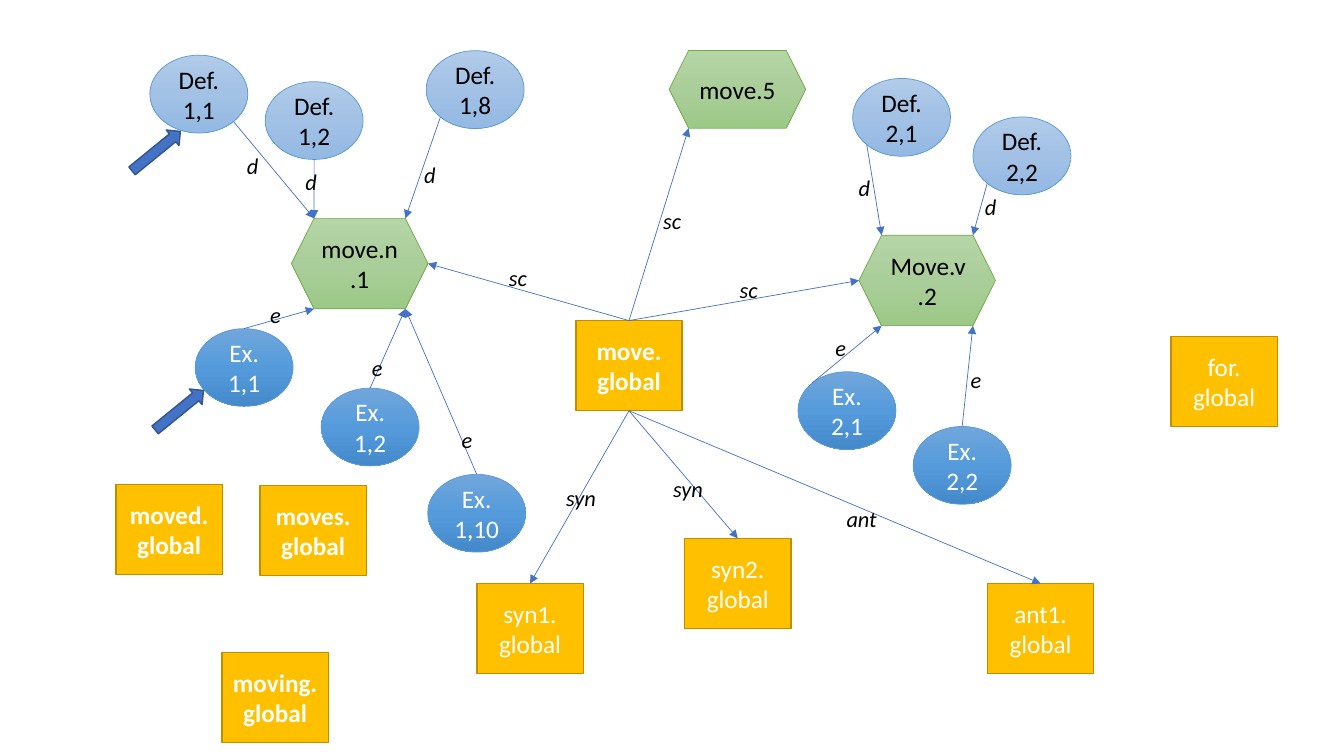
from copy import deepcopy

from lxml import etree
from pptx import Presentation
from pptx.dml.color import RGBColor
from pptx.enum.shapes import MSO_CONNECTOR, MSO_SHAPE
from pptx.enum.text import MSO_ANCHOR, PP_ALIGN
from pptx.oxml.ns import qn
from pptx.util import Pt

HEX, OVAL, RECT = MSO_SHAPE.HEXAGON, MSO_SHAPE.OVAL, MSO_SHAPE.RECTANGLE
ARROW, LINE = MSO_SHAPE.RIGHT_ARROW, MSO_CONNECTOR.STRAIGHT
MID, LEFT, CENTER = MSO_ANCHOR.MIDDLE, PP_ALIGN.LEFT, PP_ALIGN.CENTER
FONT = "Calibri"
COLORS = {
    "black": "000000", "white": "FFFFFF", "gold": "FFC000", "bronze": "BD8E00",
    "link": "4472C4", "navy": "325491", "leaf": "70AD47", "sky": "5B9BD5",
}
FADES = {
    "sense": ("B5D5A7", "AACE9A", "9CC987"),
    "def": ("B1CBE9", "A3C1E5", "93B9E4"),
    "ex": ("71A6DB", "559BDB", "448ACA"),
}
# kind: shape, line colour, line width, text colour
KINDS = {
    "sense": (HEX, "leaf", 0.5, "black"),
    "def": (OVAL, "sky", 0.5, "black"),
    "ex": (OVAL, "sky", 0.5, "white"),
    "word": (RECT, "bronze", 1, "white"),
}


def rgb(name):
    """Return a colour by its name in COLORS or by its hex string."""
    return RGBColor.from_string(COLORS.get(name, name))


class Graph:
    """Style and slide of a word graph."""

    def __init__(self, slide):
        """Keep the slide and start with no nodes."""
        self.shapes = slide.shapes
        self.nodes = {}

    def text(self, shape, words, size, color, align, bold=False, italic=False):
        """Fill a shape with one paragraph, broken at line ends."""
        frame = shape.text_frame
        frame.word_wrap = True
        para = frame.paragraphs[0]
        para.alignment = align
        for i, part in enumerate(words.split("\n")):
            if i:
                para.add_line_break()
            run = para.add_run()
            run.text = part
            font = run.font
            font.name, font.size = FONT, Pt(size)
            font.bold, font.italic = bold, italic
            font.color.rgb = rgb(color)

    def shape(self, form, box, line, width):
        """Add a preset shape with an outline and no shadow."""
        shape = self.shapes.add_shape(form, *map(Pt, box))
        shape.shadow.inherit = False
        shape.line.color.rgb = rgb(line)
        shape.line.width = Pt(width)
        return shape

    def fade(self, shape, tones):
        """Fill a shape from top to bottom with three tones."""
        shape.fill.gradient()
        shape.fill.gradient_angle = 270
        stops = shape.element.spPr.find(".//" + qn("a:gsLst"))
        stops.insert(1, deepcopy(stops[0]))
        for i, (stop, tone) in enumerate(zip(shape.fill.gradient_stops, tones)):
            stop.position = i / 2
            stop.color.rgb = rgb(tone)

    def node(self, kind, words, box, bold=False):
        """Add a node and keep it under the first line of its text."""
        form, line, width, color = KINDS[kind]
        shape = self.shape(form, box, line, width)
        if kind in FADES:
            self.fade(shape, FADES[kind])
        else:
            shape.fill.solid()
            shape.fill.fore_color.rgb = rgb("gold")
        shape.text_frame.vertical_anchor = MID
        self.text(shape, words, 18, color, CENTER, bold)
        self.nodes[words.split("\n")[0]] = (kind, box)

    def port(self, name, side):
        """Return the point on a node's edge for a side such as t or bl."""
        kind, (x, y, w, h) = self.nodes[name]
        dx = ("r" in side) - ("l" in side)
        dy = ("b" in side) - ("t" in side)
        across, down = w / 2, h / 2
        if dx and dy:
            if KINDS[kind][0] == OVAL:
                across, down = across * 0.71, down * 0.71
            else:
                across -= h / 4
        return Pt(x + w / 2 + dx * across), Pt(y + h / 2 + dy * down)

    def link(self, start, out, end, into):
        """Draw an arrow from one node's port to another's."""
        line = self.shapes.add_connector(
            LINE, *self.port(start, out), *self.port(end, into))
        line.line.color.rgb = rgb("link")
        line.line.width = Pt(0.5)
        props = line.element.spPr
        etree.SubElement(props.find(qn("a:ln")), qn("a:tailEnd"), type="triangle")
        etree.SubElement(props, qn("a:effectLst"))

    def mark(self, x, y):
        """Add a tilted block arrow."""
        shape = self.shape(ARROW, (x, y, 44.6, 14.4), "navy", 1)
        shape.rotation = 320.8
        shape.fill.solid()
        shape.fill.fore_color.rgb = rgb("link")

    def label(self, words, x, y):
        """Add an italic link label."""
        wide = 24 if len(words) == 1 else 39
        box = self.shapes.add_textbox(Pt(x), Pt(y), Pt(wide), Pt(26.6))
        self.text(box, words, 16, "black", LEFT, italic=True)


deck = Presentation()
deck.slide_width, deck.slide_height = Pt(960), Pt(540)
graph = Graph(deck.slides.add_slide(deck.slide_layouts[6]))

for name, x, y, high in (("move.n.1", 208.2, 156, 64.6), ("Move.v.2", 613.6, 168, 64.6),
                         ("move.5", 478, 36, 55.6)):
    graph.node("sense", name, (x, y, 97.5, high))

OVALS = {
    "def": (("Def. 1,1", 107, 39.4), ("Def. 1,2", 189.4, 58.3), ("Def. 1,8", 304.4, 36.2),
            ("Def. 2,1", 609, 56), ("Def. 2,2", 695, 83.5)),
    "ex": (("Ex. 1,1", 139.4, 234.7), ("Ex. 1,2", 229.4, 277.2), ("Ex. 1,10", 305.5, 338.8),
           ("Ex. 2,1", 570, 265.5), ("Ex. 2,2", 652.3, 304.6)),
}
for kind, items in OVALS.items():
    for name, x, y in items:
        graph.node(kind, name, (x, y, 70, 55.6))

WORDS = (
    ("move.", 411.3, 229, True), ("syn1.", 340.6, 416.8, False),
    ("syn2.", 489, 384.6, False), ("ant1.", 705.3, 416.8, False),
    ("for.", 836.4, 240.4, False), ("moved.", 82.8, 346, True),
    ("moves.", 185.7, 346.8, True), ("moving.", 158.5, 466.2, True),
)
for name, x, y, bold in WORDS:
    graph.node("word", name + "\nglobal", (x, y, 76, 64.4), bold)

LINKS = (
    ("Def. 1,1", "br", "move.n.1", "tl"), ("Def. 1,2", "b", "move.n.1", "tl"),
    ("Def. 1,8", "bl", "move.n.1", "tr"), ("Def. 2,1", "bl", "Move.v.2", "tl"),
    ("Def. 2,2", "bl", "Move.v.2", "tr"), ("Ex. 1,1", "t", "move.n.1", "bl"),
    ("Ex. 1,2", "t", "move.n.1", "br"), ("Ex. 1,10", "t", "move.n.1", "br"),
    ("Ex. 2,1", "tl", "Move.v.2", "bl"), ("Ex. 2,2", "t", "Move.v.2", "br"),
    ("move.", "t", "move.n.1", "r"), ("move.", "t", "Move.v.2", "l"),
    ("move.", "t", "move.5", "bl"), ("move.", "b", "syn1.", "t"),
    ("move.", "b", "syn2.", "t"), ("move.", "b", "ant1.", "t"),
)
for ends in LINKS:
    graph.link(*ends)

for spot in ((105.8, 285.8), (89.3, 100.8)):
    graph.mark(*spot)

LABELS = {
    "d": ((169.2, 105.1), (211, 116.6), (295.9, 111.6), (606.2, 121), (696.4, 134.6)),
    "e": ((686.2, 257.8), (589.7, 235.4), (322.6, 301), (258.5, 249.1), (185.8, 211.7)),
    "sc": ((356.4, 185), (466.6, 144.7), (521.3, 193.9)),
    "syn": ((397.4, 342), (473.8, 335.8)),
    "ant": ((597.6, 357.1),),
}
for name, spots in LABELS.items():
    for x, y in spots:
        graph.label(name, x, y)

deck.save("out.pptx")
